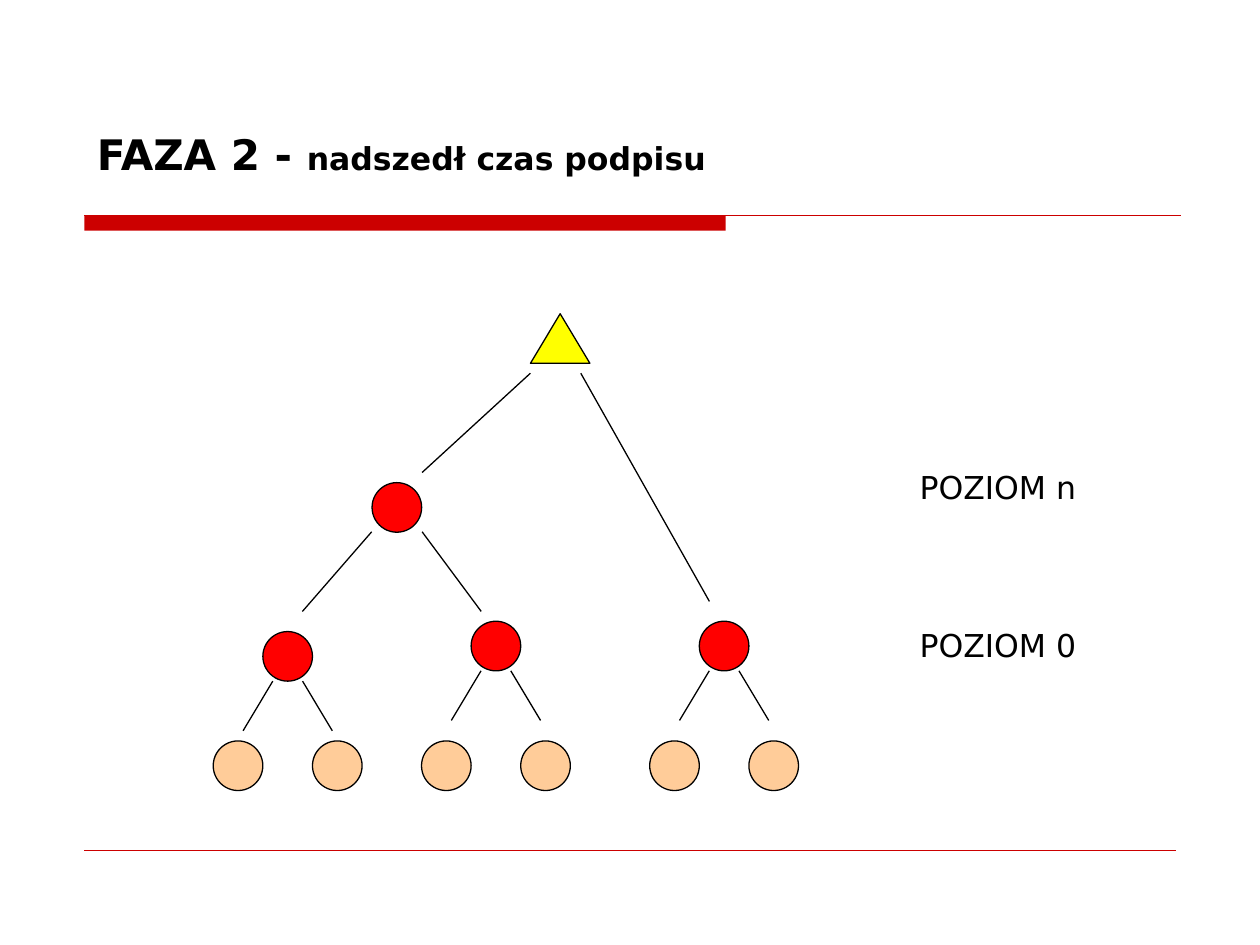
from lxml.etree import SubElement
from pptx import Presentation
from pptx.dml.color import RGBColor
from pptx.enum.shapes import MSO_CONNECTOR, MSO_SHAPE
from pptx.enum.text import MSO_ANCHOR, PP_ALIGN
from pptx.oxml.ns import qn
from pptx.util import Pt

# Content
TITLE = [("FAZA 2 - ", 24), ("nadszedł czas podpisu", 18)]
LABELS = [("POZIOM n", 264.2), ("POZIOM 0", 354.2)]  # text, top

# Tree: centre x and top of each node, in points
PAIRS = [(164.4, 360.9), (283.4, 355), (413.8, 355)]
NODE = (226.8, 275.8)
LEAF_TOP = 423.4
ROOT = (303.1, 179.3, 34, 28.35)  # left, top, width, height
LINKS = [
    (172.8, 349.4, 212.4, 303.9),
    (275, 349.4, 241.2, 303.9),
    (241.2, 270, 303.1, 213.3),
    (331.9, 213.3, 405.4, 343.7),
]
SIZE = 28.35

FONT = "DejaVu Sans"
BLACK = RGBColor(0, 0, 0)
CRIMSON = RGBColor(0xCC, 0, 0)
RED = RGBColor(0xFF, 0, 0)
PEACH = RGBColor(0xFF, 0xCC, 0x99)
YELLOW = RGBColor(0xFF, 0xFF, 0)

deck = Presentation()
deck.slide_width, deck.slide_height = Pt(720), Pt(540)
slide = deck.slides.add_slide(deck.slide_layouts[5])
shapes = slide.shapes


def add_form(kind, box, fill, edge=BLACK):
    form = shapes.add_shape(kind, *map(Pt, box))
    form.shadow.inherit = False
    form.fill.solid()
    form.fill.fore_color.rgb = fill
    if edge is None:
        form.line.fill.background()
    else:
        form.line.color.rgb = edge
        form.line.width = Pt(0.75)


def add_node(mid, top, fill):
    add_form(MSO_SHAPE.OVAL, (mid - SIZE / 2, top, SIZE, SIZE), fill)


def add_line(ends, color=BLACK, width=0.75):
    line = shapes.add_connector(MSO_CONNECTOR.STRAIGHT, *map(Pt, ends))
    line.line.color.rgb = color
    line.line.width = Pt(width)
    SubElement(line._element.spPr, qn("a:effectLst"))


def style(run, size, bold=False):
    run.font.name = FONT
    run.font.size = Pt(size)
    run.font.bold = bold
    run.font.color.rgb = BLACK


# Rules above and below the content
add_form(MSO_SHAPE.RECTANGLE, (48.2, 123.1, 366.5, 8.7), CRIMSON, None)
add_line((48.2, 123.1, 674.6, 123.1), CRIMSON)
add_line((48.2, 486, 671.8, 486), CRIMSON, 0.25)

# Title
title = shapes.title
title.left, title.top, title.width, title.height = map(Pt, (48.2, 69.8, 465, 36))
frame = title.text_frame
frame.word_wrap = True
frame.vertical_anchor = MSO_ANCHOR.MIDDLE
para = frame.paragraphs[0]
para.alignment = PP_ALIGN.LEFT
for text, size in TITLE:
    run = para.add_run()
    run.text = text
    style(run, size, True)

# Pairs of leaves under their parents
for mid, top in PAIRS:
    add_node(mid, top, RED)
    base = top + SIZE
    for side in (-1, 1):
        add_node(mid + side * SIZE, LEAF_TOP, PEACH)
        add_line((mid + side * 8.5, base, mid + side * 25.5, base + SIZE))

# Upper levels
add_node(*NODE, RED)
add_form(MSO_SHAPE.ISOSCELES_TRIANGLE, ROOT, YELLOW)
for ends in LINKS:
    add_line(ends)

# Level labels
for text, top in LABELS:
    label = shapes.add_textbox(Pt(518.4), Pt(top), Pt(153.4), Pt(28.8))
    frame = label.text_frame
    frame.word_wrap = True
    frame.text = text
    style(frame.paragraphs[0].runs[0], 18)

deck.save("out.pptx")
